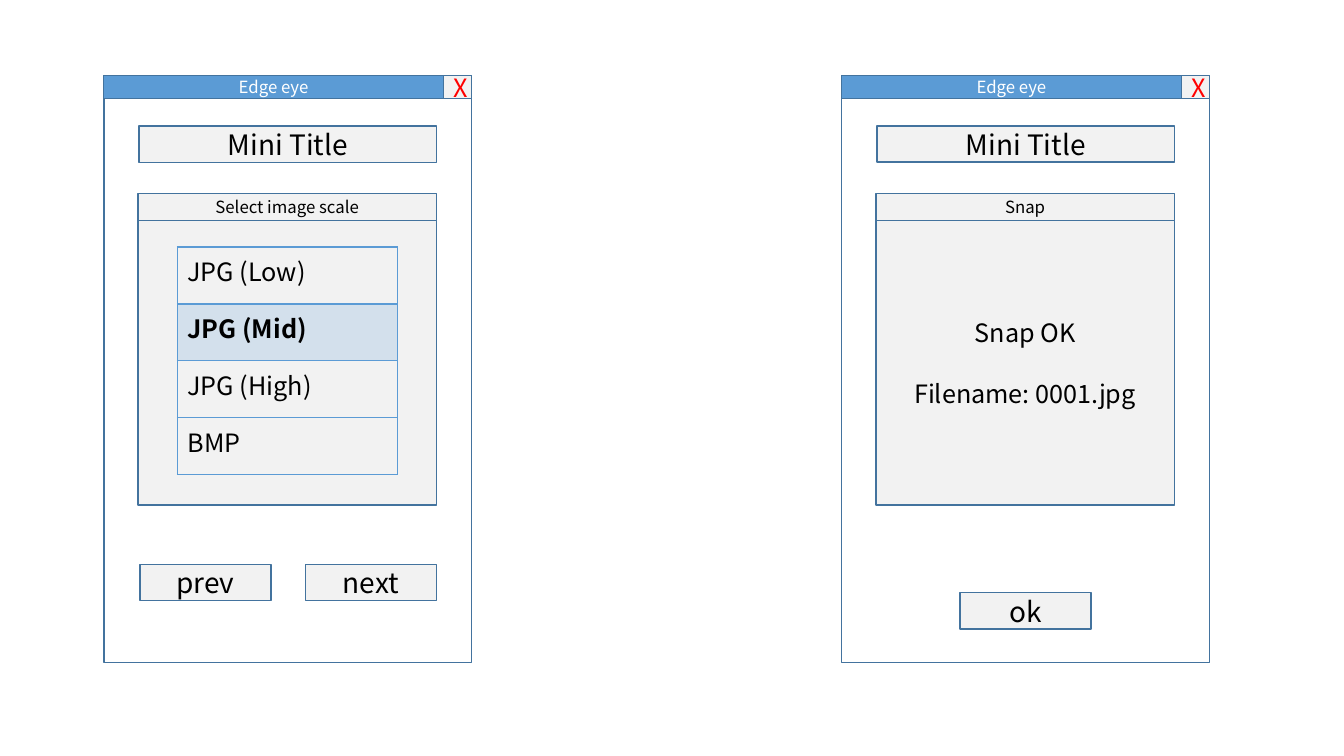
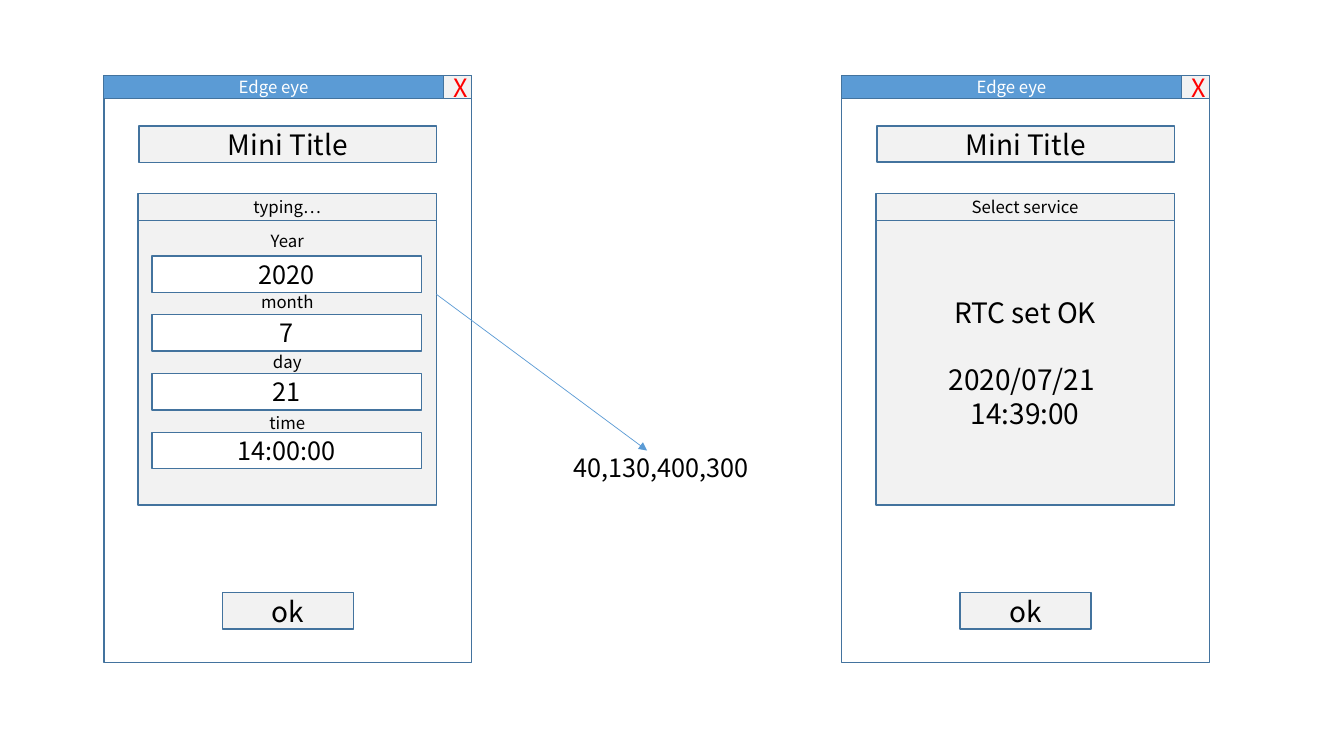
from dataclasses import dataclass

from lxml import etree
from pptx import Presentation
from pptx.dml.color import RGBColor
from pptx.enum.dml import MSO_THEME_COLOR
from pptx.enum.shapes import MSO_CONNECTOR, MSO_SHAPE
from pptx.enum.text import MSO_ANCHOR, MSO_AUTO_SIZE, PP_ALIGN
from pptx.oxml.ns import qn
from pptx.shapes.autoshape import Shape
from pptx.slide import Slide
from pptx.util import Emu, Inches, Pt

# Enum members
RECT = MSO_SHAPE.RECTANGLE
STRAIGHT = MSO_CONNECTOR.STRAIGHT
TOP, MIDDLE = MSO_ANCHOR.TOP, MSO_ANCHOR.MIDDLE
LEFT, CENTER = PP_ALIGN.LEFT, PP_ALIGN.CENTER
NO_FIT = MSO_AUTO_SIZE.NONE
GROUND = MSO_THEME_COLOR.BACKGROUND_1

# Colours and type
WHITE = RGBColor(0xFF, 0xFF, 0xFF)
BLACK = RGBColor(0, 0, 0)
RED = RGBColor(0xFF, 0, 0)
GREY = RGBColor(0xF2, 0xF2, 0xF2)
BLUE = RGBColor(0x5B, 0x9B, 0xD5)
EDGE = RGBColor(0x43, 0x73, 0x9E)
FONT = "Noto Sans CJK KR"
SMALL, MID, LARGE = 12, 18, 20

# Grid: 160 columns by 90 rows over the slide
WIDE, HIGH = Inches(13.333), Inches(7.5)
COLS, ROWS = 160, 90


@dataclass(frozen=True)
class Area:
    """A place on the grid: column, row, columns wide, rows high."""
    col: float
    row: float
    wide: float
    high: float

    def shift(self, cols: float, rows: float = 0) -> "Area":
        return Area(self.col + cols, self.row + rows, self.wide, self.high)

    def emu(self) -> tuple[Emu, Emu, Emu, Emu]:
        return (across(self.col), down(self.row),
                across(self.wide), down(self.high))


@dataclass(frozen=True)
class Line:
    text: str
    gap: float = 0  # points above the line


@dataclass(frozen=True)
class Button:
    text: str
    spot: Area


@dataclass(frozen=True)
class Window:
    col: float
    head: str
    lines: tuple[Line, ...]
    size: int
    keys: tuple[Button, ...]
    anchor: MSO_ANCHOR = MIDDLE
    main: bool = False  # its caption is the slide title


def across(cols: float) -> Emu:
    return Emu(round(WIDE * cols / COLS))


def down(rows: float) -> Emu:
    return Emu(round(HIGH * rows / ROWS))


# Window parts, measured from the window's left side
NEAR, FAR = 12.36, 100.2
FRAME = Area(0, 9, 43.8, 69.84)
CLOSE = Area(40.44, 9, 3.36, 2.76)
BAR = Area(0, 9, 40.44, 2.76)
NAME = Area(4.2, 15, 35.4, 4.32)
HEAD = Area(4.08, 23.04, 35.52, 3.24)
PANEL = Area(4.08, 26.28, 35.52, 33.84)
LIST = Area(8.76, 29.4, 26.16, 27.12)
FIELD = Area(5.76, 30.48, 32.04, 4.32)
STEP = 7
KEY = Area(4.3, 67.2, 15.6, 4.32)
OK = (Button("ok", Area((FRAME.wide - KEY.wide) / 2, 70.56, KEY.wide, KEY.high)),)
PAIR = (Button("prev", KEY), Button("next", KEY.shift(19.7)))

# Slide text
SCALES = ("JPG (Low)", "JPG (Mid)", "JPG (High)", "BMP")
CHOSEN = 1
LABELS = ("Year", "month", "day", "time")
VALUES = ("2020", "7", "21", "14:00:00")


def write(frame, lines: tuple[Line, ...], size: int, ink: RGBColor = BLACK,
          align: PP_ALIGN = CENTER, bold: bool = False) -> None:
    for i, line in enumerate(lines):
        para = frame.add_paragraph() if i else frame.paragraphs[0]
        para.alignment = align
        para.space_before = Pt(line.gap)
        run = para.add_run()
        run.text = line.text
        font = run.font
        font.name, font.size, font.bold = FONT, Pt(size), bold
        font.color.rgb = ink


def dress(shape: Shape, fill: RGBColor) -> None:
    shape.fill.solid()
    shape.fill.fore_color.rgb = fill
    shape.line.color.rgb = EDGE
    shape.line.width = Pt(1)


def box(slide: Slide, area: Area, fill: RGBColor, lines: tuple[Line, ...] = (),
        size: int = MID, ink: RGBColor = BLACK, anchor: MSO_ANCHOR = MIDDLE) -> None:
    shape = slide.shapes.add_shape(RECT, *area.emu())
    shape.shadow.inherit = False
    dress(shape, fill)
    frame = shape.text_frame
    frame.vertical_anchor = anchor
    if anchor == TOP:
        frame.margin_top = down(1.2)
    write(frame, lines, size, ink)


def title(slide: Slide, area: Area, line: Line) -> None:
    shape = slide.shapes.title
    shape.left, shape.top, shape.width, shape.height = area.emu()
    dress(shape, GREY)
    frame = shape.text_frame
    frame.auto_size = NO_FIT
    frame.vertical_anchor = MIDDLE
    write(frame, (line,), LARGE)
    slide.shapes.element.append(shape.element)  # bring above the window


def window(slide: Slide, win: Window) -> None:
    def at(area: Area) -> Area:
        return area.shift(win.col)

    box(slide, at(FRAME), WHITE)
    box(slide, at(CLOSE), GREY, (Line("X"),), MID, RED)
    box(slide, at(BAR), BLUE, (Line("Edge eye"),), SMALL, WHITE)
    name = Line("Mini Title")
    if win.main:
        title(slide, at(NAME), name)
    else:
        box(slide, at(NAME), GREY, (name,), LARGE)
    box(slide, at(PANEL), GREY, win.lines, win.size, anchor=win.anchor)
    box(slide, at(HEAD), GREY, (Line(win.head),), SMALL)
    for key in win.keys:
        box(slide, at(key.spot), GREY, (Line(key.text),), LARGE)


def border(props: etree._Element, side: str, width: float) -> None:
    line = etree.SubElement(props, qn(f"a:{side}"), w=str(Pt(width)))
    fill = etree.SubElement(line, qn("a:solidFill"))
    etree.SubElement(fill, qn("a:srgbClr"), val=str(BLUE))


def choices(slide: Slide, area: Area) -> None:
    shape = slide.shapes.add_table(len(SCALES), 1, *area.emu())
    table = shape.table
    table.first_row = table.horz_banding = False
    cells = zip(table.iter_cells(), shape.element.iter(qn("a:tcPr")), SCALES)
    for i, (cell, props, text) in enumerate(cells):
        picked = i == CHOSEN
        thick = {"lnT": i == CHOSEN, "lnB": i + 1 == CHOSEN}
        for side in ("lnL", "lnR", "lnT", "lnB"):
            border(props, side, 2 if thick.get(side) else 1)
        cell.fill.solid()
        cell.fill.fore_color.rgb = BLUE if picked else GREY
        if picked:
            tint = props.find(f"{qn('a:solidFill')}/{qn('a:srgbClr')}")
            etree.SubElement(tint, qn("a:alpha"), val="20000")
        write(cell.text_frame, (Line(text),), MID, align=LEFT, bold=picked)


def arrow(slide: Slide, start: tuple[float, float], end: tuple[float, float]) -> None:
    link = slide.shapes.add_connector(
        STRAIGHT, across(start[0]), down(start[1]), across(end[0]), down(end[1]))
    link.line.color.rgb = BLUE
    link.line.width = Pt(0.5)
    props = link.element.find(qn("p:spPr"))
    etree.SubElement(props.find(qn("a:ln")), qn("a:tailEnd"), type="triangle")
    etree.SubElement(props, qn("a:effectLst"))


def note(slide: Slide, area: Area, text: str) -> None:
    frame = slide.shapes.add_textbox(*area.emu()).text_frame
    frame.word_wrap = True
    write(frame, (Line(text),), MID, align=LEFT)


def scale(slide: Slide) -> None:
    """Image scale choice and the snap result."""
    done = (Line("Snap OK"), Line("Filename: 0001.jpg", 21.4))
    window(slide, Window(FAR, "Snap", done, MID, OK))
    window(slide, Window(NEAR, "Select image scale", (), MID, PAIR, main=True))
    choices(slide, LIST.shift(NEAR))


def clock(slide: Slide) -> None:
    """Date entry and the clock result."""
    done = (Line("RTC set OK"), Line("2020/07/21 ", 24), Line("14:39:00"))
    window(slide, Window(FAR, "Select service", done, LARGE, OK))
    labels = tuple(Line(text, 28.8 if i else 0) for i, text in enumerate(LABELS))
    window(slide, Window(NEAR, "typing…", labels, SMALL, OK, TOP, True))
    for i, text in enumerate(VALUES):
        box(slide, FIELD.shift(NEAR, i * STEP), WHITE, (Line(text),))
    arrow(slide, (51.96, 35.04), (77.04, 53.64))
    note(slide, Area(67.08, 53.28, 27.24, 4.8), "40,130,400,300")


def main() -> None:
    deck = Presentation()
    deck.slide_width, deck.slide_height = WIDE, HIGH
    layout = deck.slide_layouts.get_by_name("Title Only")
    back = deck.slide_master.background.fill
    back.solid()
    back.fore_color.theme_color = GROUND
    for draw in (scale, clock):
        draw(deck.slides.add_slide(layout))
    deck.save("out.pptx")


if __name__ == "__main__":
    main()
